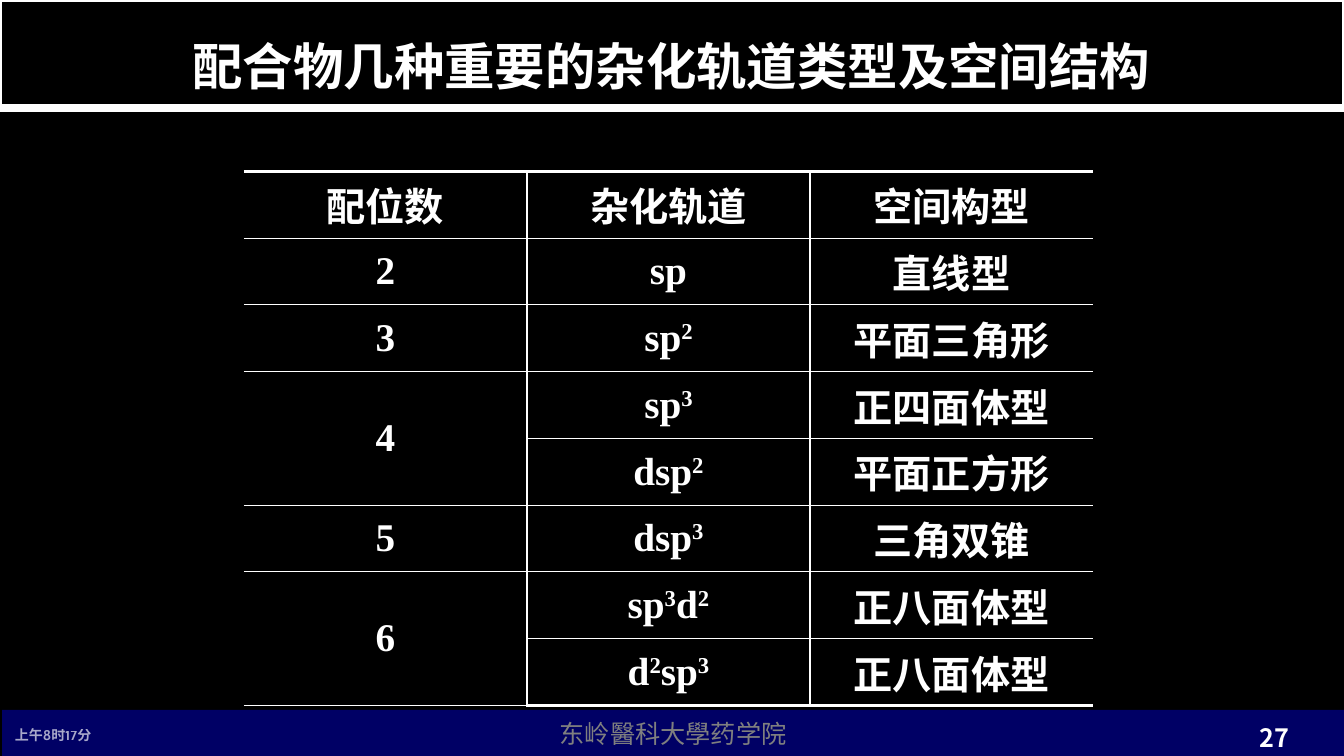
from itertools import groupby

from lxml import etree
from pptx import Presentation
from pptx.dml.color import RGBColor
from pptx.enum import shapes, text
from pptx.oxml import ns
from pptx.util import Pt

COLORS = {"black": "000000", "white": "FFFFFF", "blue": "0000CC"}
SANS, SERIF, SMALL = "Noto Sans CJK SC", "Times New Roman", "Cabin"
WIDTH, HEIGHT = 960, 540
HEADER_HEIGHT = 77
ROWS = [
    ("配位数", "杂化轨道", "空间构型"),
    ("2", "sp", "直线型"),
    ("3", "sp2", "平面三角形"),
    ("4", "sp3", "正四面体型"),
    ("", "dsp2", "平面正方形"),
    ("5", "dsp3", "三角双锥"),
    ("6", "sp3d2", "正八面体型"),
    ("", "d2sp3", "正八面体型"),
]
FORMULA_COLUMN = 1


def add_element(parent, tag, **attributes):
    return etree.SubElement(parent, ns.qn(tag), attributes)


def set_alpha(element, percent):
    """Make the first solid colour below the element partly transparent."""
    color = next(element.iter(ns.qn("a:srgbClr")))
    add_element(color, "a:alpha", val=str(percent * 1000))


class SlideBuilder:
    def __init__(self, slide, colors):
        self.slide = slide
        self.colors = colors

    def rgb(self, name):
        return RGBColor.from_string(self.colors[name])

    def background(self, color):
        fill = self.slide.background.fill
        fill.solid()
        fill.fore_color.rgb = self.rgb(color)

    def format_paragraph(self, paragraph, font, size, bold=False,
                         align=text.PP_ALIGN.CENTER):
        paragraph.alignment = align
        paragraph.font.size = Pt(size)
        paragraph.font.bold = bold
        paragraph.font.color.rgb = self.rgb("white")
        paragraph.font.name = font
        properties = paragraph._p.pPr.find(ns.qn("a:defRPr"))
        add_element(properties, "a:ea", typeface=SANS)
        return properties

    def fill_frame(self, shape, content, font, size, **style):
        frame = shape.text_frame
        frame.word_wrap = True
        frame.auto_size = text.MSO_AUTO_SIZE.NONE
        frame.vertical_anchor = text.MSO_ANCHOR.MIDDLE
        frame.text = content
        return self.format_paragraph(frame.paragraphs[0], font, size, **style)

    def rectangle(self, left, top, width, height, color, line=None):
        shape = self.slide.shapes.add_shape(
            shapes.MSO_SHAPE.RECTANGLE, Pt(left), Pt(top), Pt(width), Pt(height))
        shape.shadow.inherit = False
        shape.fill.solid()
        shape.fill.fore_color.rgb = self.rgb(color)
        if line:
            shape.line.color.rgb = self.rgb("white")
            shape.line.width = Pt(line)
        else:
            shape.line.fill.background()
        return shape

    def rule(self, top, weight):
        connector = self.slide.shapes.add_connector(
            shapes.MSO_CONNECTOR.STRAIGHT, 0, Pt(top), Pt(WIDTH), Pt(top))
        connector.line.color.rgb = self.rgb("white")
        connector.line.width = Pt(weight)
        add_element(connector._element.spPr, "a:effectLst")

    def title(self, content, left, top, width, height):
        title = self.slide.shapes.title
        title.left, title.top = Pt(left), Pt(top)
        title.width, title.height = Pt(width), Pt(height)
        self.fill_frame(title, content, SANS, 36, bold=True)
        self.slide.shapes._spTree.append(title._element)

    def label(self, content, left, top, width, height, font, size, align):
        box = self.slide.shapes.add_textbox(
            Pt(left), Pt(top), Pt(width), Pt(height))
        return self.fill_frame(box, content, font, size, bold=True, align=align)

    def cell_borders(self, cell, weights):
        """Draw left, right, top and bottom lines; a weight of 0 hides one."""
        properties = cell._tc.get_or_add_tcPr()
        for index, (side, weight) in enumerate(zip("LRTB", weights)):
            line = etree.Element(ns.qn(f"a:ln{side}"), w=str(Pt(weight)))
            if weight:
                fill = add_element(line, "a:solidFill")
                add_element(fill, "a:srgbClr", val=self.colors["white"])
            else:
                add_element(line, "a:noFill")
            properties.insert(index, line)

    def table(self, rows, left, top, column_width, row_height):
        last_row, last_column = len(rows) - 1, len(rows[0]) - 1
        table = self.slide.shapes.add_table(
            len(rows), len(rows[0]), Pt(left), Pt(top),
            Pt(column_width * len(rows[0])), Pt(row_height * len(rows))).table
        table.first_row = table.horz_banding = False
        for column in table.columns:
            column.width = Pt(column_width)
        for r, values in enumerate(rows):
            table.rows[r].height = Pt(row_height)
            for c, value in enumerate(values):
                cell = table.cell(r, c)
                cell.fill.background()
                cell.vertical_anchor = text.MSO_ANCHOR.MIDDLE
                self.cell_borders(cell, (
                    1 if c > 0 else 0, 1 if c < last_column else 0,
                    2.25 if r == 0 else 1, 2.25 if r == last_row else 1))
                if not value:
                    table.cell(r - 1, c).merge(cell)
                    continue
                paragraph = cell.text_frame.paragraphs[0]
                self.format_paragraph(paragraph, SERIF, 28, bold=True)
                self.add_runs(paragraph, value, c == FORMULA_COLUMN)

    def add_runs(self, paragraph, value, raise_digits):
        for is_digit, characters in groupby(value, str.isdigit):
            run = paragraph.add_run()
            run.text = "".join(characters)
            if is_digit and raise_digits:
                run._r.get_or_add_rPr().set("baseline", "30000")


def main():
    presentation = Presentation()
    presentation.slide_width, presentation.slide_height = Pt(WIDTH), Pt(HEIGHT)
    slide = presentation.slides.add_slide(presentation.slide_layouts[5])
    builder = SlideBuilder(slide, COLORS)

    builder.background("black")
    footer = builder.rectangle(1.5, 507, 958.5, 33.5, "blue")
    builder.fill_frame(footer, "东岭醫科大學药学院", SANS, 18)
    shade = builder.rectangle(1.5, 0, WIDTH, HEIGHT, "black")
    set_alpha(shade._element.spPr, 50)
    builder.rectangle(0, 0, WIDTH, HEADER_HEIGHT, "black", line=3)
    builder.rule(HEADER_HEIGHT, 6)

    builder.title("配合物几种重要的杂化轨道类型及空间结构", 124, 26, 711, 42)
    builder.table(ROWS, 174.2, 122.4, 202.2, 47.7)

    time_style = builder.label("上午8时17分", 3.6, 515.5, 154, 19.5,
                               SMALL, 10, text.PP_ALIGN.LEFT)
    set_alpha(time_style, 65)
    builder.label("27", 836, 517, 92, 19.5, SANS, 18, text.PP_ALIGN.RIGHT)
    presentation.save("out.pptx")


if __name__ == "__main__":
    main()
